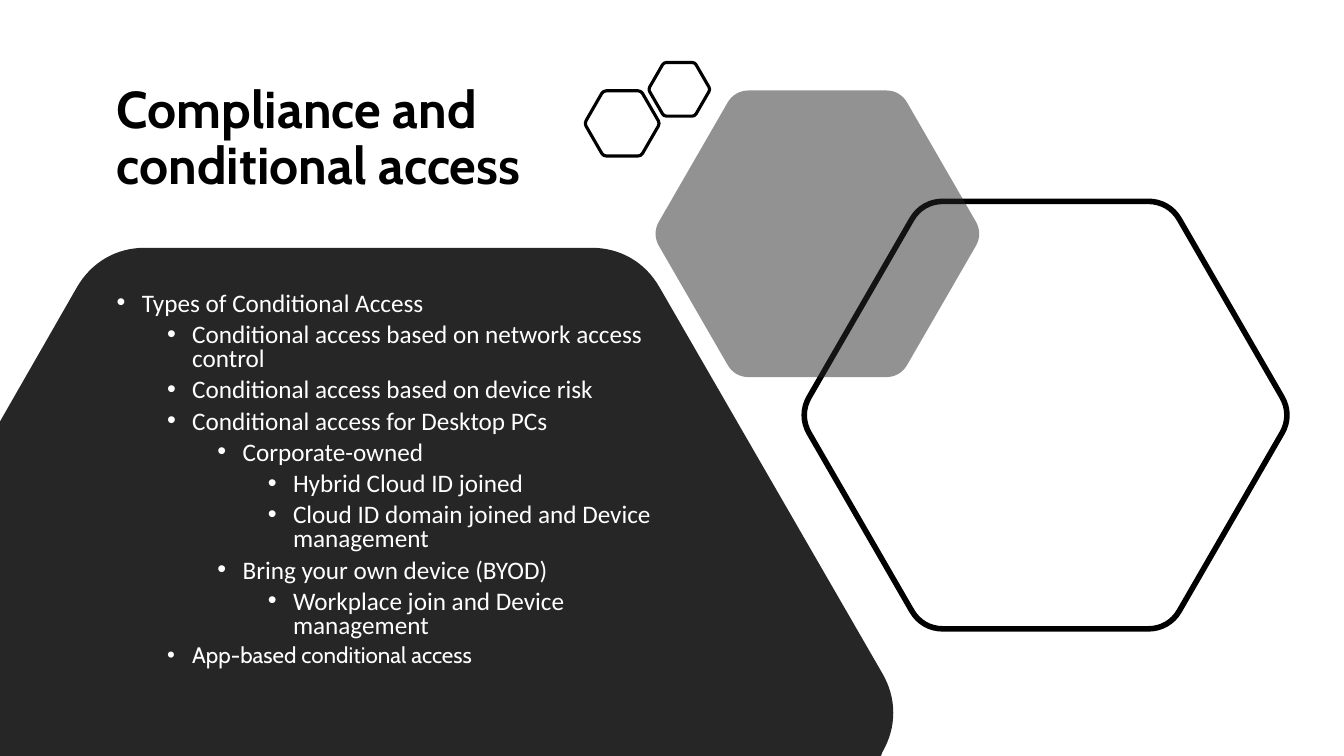
from math import cos, pi, sin
from lxml.etree import SubElement
from pptx import Presentation
from pptx.dml.color import RGBColor
from pptx.enum.text import MSO_ANCHOR as Anchor, MSO_AUTO_SIZE as Fit, PP_ALIGN as Align
from pptx.oxml.ns import qn
from pptx.util import Cm, Pt

BLACK = RGBColor(0, 0, 0)
DARK = RGBColor(0x26, 0x26, 0x26)
WHITE = RGBColor(0xFF, 0xFF, 0xFF)
WIDE, HIGH = 33.87, 19.05
HEAD, BODY = "Cabin", "Calibri"

TITLE = "Compliance and conditional access"
ITEMS = [
    (0, "Types of Conditional Access"),
    (1, "Conditional access based on network access control"),
    (1, "Conditional access based on device risk"),
    (1, "Conditional access for Desktop PCs"),
    (2, "Corporate-owned"),
    (3, "Hybrid Cloud ID joined"),
    (3, "Cloud ID domain joined and Device management"),
    (2, "Bring your own device (BYOD)"),
    (3, "Workplace join and Device management"),
    (1, "App-based conditional access"),
]


def mix(a, b, t):
    return tuple(p + (q - p) * t for p, q in zip(a, b))


def bend(x, y, size, turn, cut=0.085, ease=0.48):
    prev, tip, after = (
        (x + size * cos(i * pi / 3), y + size * sin(i * pi / 3))
        for i in (turn - 1, turn, turn + 1))
    start, end = mix(tip, prev, cut), mix(tip, after, cut)
    c, d = mix(start, tip, ease), mix(end, tip, ease)
    return [(start, None), (mix(c, d, 0.5), c), (end, d)]


class Deck:
    """Holds the presentation, its style and the current slide."""

    def __init__(self):
        self.prs = Presentation()
        self.prs.slide_width, self.prs.slide_height = Cm(WIDE), Cm(HIGH)
        self.slide = self.prs.slides.add_slide(self.prs.slide_layouts[5])

    def font(self, para, name, size, color, bold=False):
        font = para.font
        font.name, font.size, font.bold = name, Pt(size), bold
        font.color.rgb = color

    def title(self, text, x, y, w, h):
        box = self.slide.shapes.title
        box.left, box.top, box.width, box.height = map(Cm, (x, y, w, h))
        frame = box.text_frame
        frame.text = text
        frame.word_wrap, frame.auto_size = True, Fit.NONE
        frame.vertical_anchor = Anchor.MIDDLE
        para = frame.paragraphs[0]
        para.alignment, para.line_spacing = Align.LEFT, 0.9
        self.font(para, HEAD, 37, BLACK, True)

    def hex(self, x, y, size, fill=None, alpha=None, line=None, turns=range(6), ends=()):
        nodes = [node for turn in turns for node in bend(x, y, size, turn)]
        nodes += [(end, None) for end in ends]
        dots = [(Cm(a), Cm(b)) for (a, b), _ in nodes]
        form = self.slide.shapes.build_freeform(*dots[0])
        form.add_line_segments(dots[1:], close=True)
        shape = form.convert_to_shape()
        self.curve(shape, [pull for _, pull in nodes[1:]])
        shape.shadow.inherit = False
        if fill is None:
            shape.fill.background()
        else:
            shape.fill.solid()
            shape.fill.fore_color.rgb = fill
        if alpha:
            tint = shape.fill._xPr.find(".//" + qn("a:srgbClr"))
            SubElement(tint, qn("a:alpha"), val=str(alpha * 1000))
        if line:
            shape.line.color.rgb, shape.line.width = BLACK, Pt(line)
        else:
            shape.line.fill.background()

    def curve(self, shape, pulls):
        legs = list(shape._element.iter(qn("a:lnTo")))
        for leg, pull in zip(legs, pulls):
            if pull:
                arc = leg.makeelement(qn("a:quadBezTo"))
                SubElement(arc, qn("a:pt"), x=str(Cm(pull[0]) - shape.left),
                           y=str(Cm(pull[1]) - shape.top))
                arc.append(leg[0])
                leg.getparent().replace(leg, arc)

    def bullets(self, items, x, y, w, h):
        frame = self.slide.shapes.add_textbox(*map(Cm, (x, y, w, h))).text_frame
        frame.word_wrap = True
        for i, (level, text) in enumerate(items):
            para = frame.add_paragraph() if i else frame.paragraphs[0]
            para.text, para.level = text, level
            para.line_spacing, para.space_before = 0.8, Pt(5 if level else 10)
            props = para._p.get_or_add_pPr()
            props.set("marL", str(Cm(0.635 + 1.27 * level)))
            props.set("indent", str(-Cm(0.635)))
            SubElement(props, qn("a:buFont"), typeface="Arial")
            SubElement(props, qn("a:buChar"), char="•")
            last = i == len(items) - 1
            self.font(para, HEAD if last else BODY, 16 if last else 18, WHITE)


def main():
    deck = Deck()
    deck.title(TITLE, 2.69, 1.2, 11.89, 4.65)
    deck.hex(9.28, 17.96, 13.53, fill=DARK, turns=range(4, 7),
             ends=[(22.2, HIGH), (0, HIGH), (0, 10.62)])
    deck.hex(26.35, 10.46, 6.22, line=4)
    deck.hex(20.6, 5.89, 4.17, fill=DARK, alpha=50)
    deck.hex(15.68, 3.11, 0.95, line=2.25)
    deck.hex(17.12, 2.25, 0.78, line=2.25)
    deck.bullets(ITEMS, 2.69, 7.26, 14.25, 10.26)
    deck.prs.save("out.pptx")


if __name__ == "__main__":
    main()
